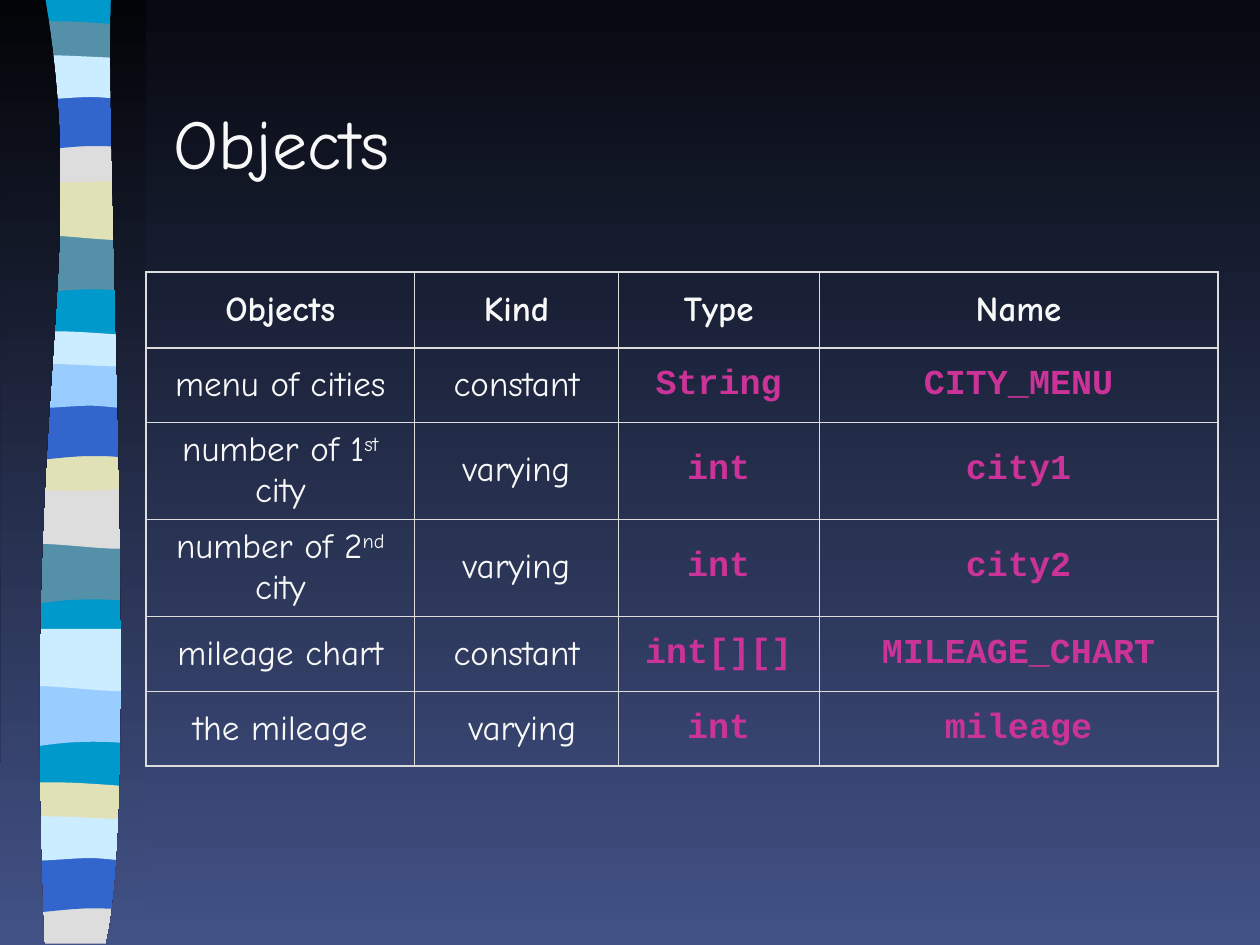
from lxml import etree
from pptx import Presentation
from pptx.dml import color
from pptx.enum import text
from pptx.oxml import ns
from pptx.util import Inches, Pt

COLORS = {
    "night": "070910", "black": "030407", "dusk": "425286", "white": "F8F8F8",
    "code": "CC3399", "grid": "DDDDDD", "cyan": "0099CC", "teal": "5490A8",
    "sand": "E1E1B7", "gray": "DDDDDD", "blue": "3366CC", "ice": "CCECFF", "sky": "99CCFF",
}
BAND_OUTLINES = {
    "wave": [(1.08, 0), (1.08, .47), (.33, .39, .18, .55, 0, .47), (0, 0)],
    "slab": [(1.08, 0), (1.08, .47), (.9, .55, .33, .41, 0, .47), (0, 0)],
    "lens": [(1.08, .05), (1.08, .29), (.9, .33, .18, .33, 0, .29), (0, .05),
             (.06, 0, .23, .01, .41, .01), (.59, .01, .94, .04, 1.08, .05)],
    "dip": [(1.08, 0), (1.08, .32), (.9, .38, .18, .38, 0, .32), (0, 0),
            (.66, .05, .85, 0, 1.08, 0)],
    "end": [(1.08, 0), (1.08, .37), (0, .37), (0, 0), (.66, .05, .85, 0, 1.08, 0)],
    "arch": [(1.08, 0), (1.08, .47), (.91, .42, .84, .42, .66, .42),
             (.48, .42, .16, .47, 0, .47), (0, 0)],
    "drop": [(1.08, .05), (1.08, .36), (1.01, .41, .84, .36, .66, .36),
             (.48, .36, .11, .41, 0, .36), (0, .05), (.15, 0, .73, .05, .91, .05),
             (1.09, .05, 1.04, .05, 1.08, .05)],
}
BANDS = [
    ("wave", .06, 1.85, "teal"), ("slab", .06, 1.41, "sand"), ("lens", .06, .16, "teal"),
    ("dip", .06, 1.08, "gray"), ("arch", .06, .74, "blue"), ("drop", .06, .41, "ice"),
    ("wave", .05, 4.31, "teal"), ("slab", .05, 3.86, "gray"), ("lens", .05, 2.62, "ice"),
    ("dip", .05, 3.53, "sand"), ("arch", .05, 3.2, "blue"), ("drop", .05, 2.86, "sky"),
    ("wave", .06, 5.44, "sky"), ("slab", .06, 4.99, "ice"), ("lens", .05, 6.2, "sand"),
    ("end", .05, 7.12, "gray"), ("arch", .05, 6.79, "blue"), ("drop", .05, 6.45, "ice"),
]
RIBBON = [(1.08, -.01), (1.08, 7.47), (0, 7.47), (0, -.01)]
LEFT_COVER = [(.36, -.01), (.71, 2.16, .17, 2.96, .35, 7.49), (.01, 7.49), (0, -.01)]
RIGHT_COVER = [(.88, -.01), (.84, 1.25, 1.11, 6.46, .84, 7.49), (1.16, 7.49), (1.16, 0)]
ROWS = [
    ("Objects", "Kind", "Type", "Name"),
    ("menu of cities", "constant", "String", "CITY_MENU"),
    ("number of 1^st^ city", "varying", "int", "city1"),
    ("number of 2^nd^ city", "varying", "int", "city2"),
    ("mileage chart", "constant", "int[][]", "MILEAGE_CHART"),
    ("the mileage", " varying", "int", "mileage"),
]
COLUMN_WIDTHS = [2.13, 1.62, 1.59, 3.17]
ROW_HEIGHTS = [.6, .59, .77, .77, .6, .59]


def rgb(name):
    """Return the named colour."""
    return color.RGBColor.from_string(COLORS[name])


def fill_gradient(fill, top, bottom):
    """Fill from one colour at the top to another at the bottom."""
    fill.gradient()
    fill.gradient_angle = 270
    for stop, name, position in zip(fill.gradient_stops, (top, bottom), (0, 1)):
        stop.color.rgb = rgb(name)
        stop.position = position


def add_outline(slide, left, top, outline):
    """Add a closed, unlined shape whose six-number segments are cubic curves."""
    points = [(Inches(left + segment[i]), Inches(top + segment[i + 1]))
              for segment in outline for i in range(0, len(segment), 2)]
    builder = slide.shapes.build_freeform(*points[0])
    builder.add_line_segments(points[1:], close=True)
    shape = builder.convert_to_shape()
    lines = iter(list(shape._element.iter(ns.qn("a:lnTo"))))
    for segment in outline[1:]:
        line = next(lines)
        if len(segment) == 6:
            line.tag = ns.qn("a:cubicBezTo")
            for control in (next(lines), next(lines)):
                line.append(control[0])
                control.getparent().remove(control)
    shape.shadow.inherit = False
    shape.line.fill.background()
    return shape


def add_ribbon(slide, left, top):
    """Draw the striped ribbon and the two covers that shape its edges."""
    for outline, x, y, name in [(RIBBON, .06, 0, "cyan")] + [
            (BAND_OUTLINES[kind], *place) for kind, *place in BANDS]:
        band = add_outline(slide, left + x, top + y, outline)
        band.fill.solid()
        band.fill.fore_color.rgb = rgb(name)
    for outline in (LEFT_COVER, RIGHT_COVER):
        fill_gradient(add_outline(slide, left, top, outline).fill, "black", "dusk")


def style_font(font, size, name="Comic Neue", tint="white", bold=False):
    """Set the look of a font."""
    font.size, font.name, font.bold = Pt(size), name, bold
    font.color.rgb = rgb(tint)


def add_title(slide, left, top, width, height):
    """Place the slide title."""
    title = slide.shapes.add_textbox(
        Inches(left), Inches(top), Inches(width), Inches(height)).text_frame
    title.word_wrap = True
    title.vertical_anchor = text.MSO_ANCHOR.MIDDLE
    title.text = "Objects"
    style_font(title.paragraphs[0].font, 40)


def set_borders(cell, widths):
    """Draw the left, right, top and bottom borders of a cell."""
    properties = cell._tc.get_or_add_tcPr()
    for side, width in zip("LRTB", widths):
        line = etree.SubElement(properties, ns.qn(f"a:ln{side}"), w=str(Pt(width)))
        fill = etree.SubElement(line, ns.qn("a:solidFill"))
        etree.SubElement(fill, ns.qn("a:srgbClr"), val=COLORS["grid"])


def fill_cell(cell, content, is_header, is_code):
    """Write a cell, raising the text between carets."""
    cell.fill.background()
    cell.vertical_anchor = text.MSO_ANCHOR.MIDDLE
    paragraph = cell.text_frame.paragraphs[0]
    paragraph.alignment = text.PP_ALIGN.CENTER
    paragraph.space_before = Pt(5)
    if is_code:
        style_font(paragraph.font, 20, "Courier New", "code", True)
    else:
        style_font(paragraph.font, 20, bold=is_header)
    for index, part in enumerate(content.split("^")):
        run = paragraph.add_run()
        run.text = part
        if index % 2:
            run._r.get_or_add_rPr().set("baseline", "30000")


def add_objects_table(slide, left, top, width, height):
    """Place the table of objects."""
    table = slide.shapes.add_table(
        len(ROWS), len(COLUMN_WIDTHS),
        Inches(left), Inches(top), Inches(width), Inches(height)).table
    table.first_row = table.horz_banding = False
    for column, column_width in zip(table.columns, COLUMN_WIDTHS):
        column.width = Inches(column_width)
    for row, row_height in zip(table.rows, ROW_HEIGHTS):
        row.height = Inches(row_height)
    across = [1.08] + [.45] * (len(COLUMN_WIDTHS) - 1) + [1.08]
    down = [1.08, 1.47] + [.45] * (len(ROWS) - 2) + [1.08]
    for r, row in enumerate(ROWS):
        for c, content in enumerate(row):
            cell = table.cell(r, c)
            set_borders(cell, across[c:c + 2] + down[r:r + 2])
            fill_cell(cell, content, r == 0, r > 0 and c > 1)


def main():
    """Build and save the slide."""
    deck = Presentation()
    deck.slide_width, deck.slide_height = Inches(10), Inches(7.5)
    slide = deck.slides.add_slide(deck.slide_layouts[6])
    fill_gradient(slide.background.fill, "night", "dusk")
    add_ribbon(slide, 0, 0)
    add_title(slide, 1.28, .5, 8.5, 1.25)
    add_objects_table(slide, 1.16, 2.16, 8.51, 3.92)
    deck.save("out.pptx")


if __name__ == "__main__":
    main()
